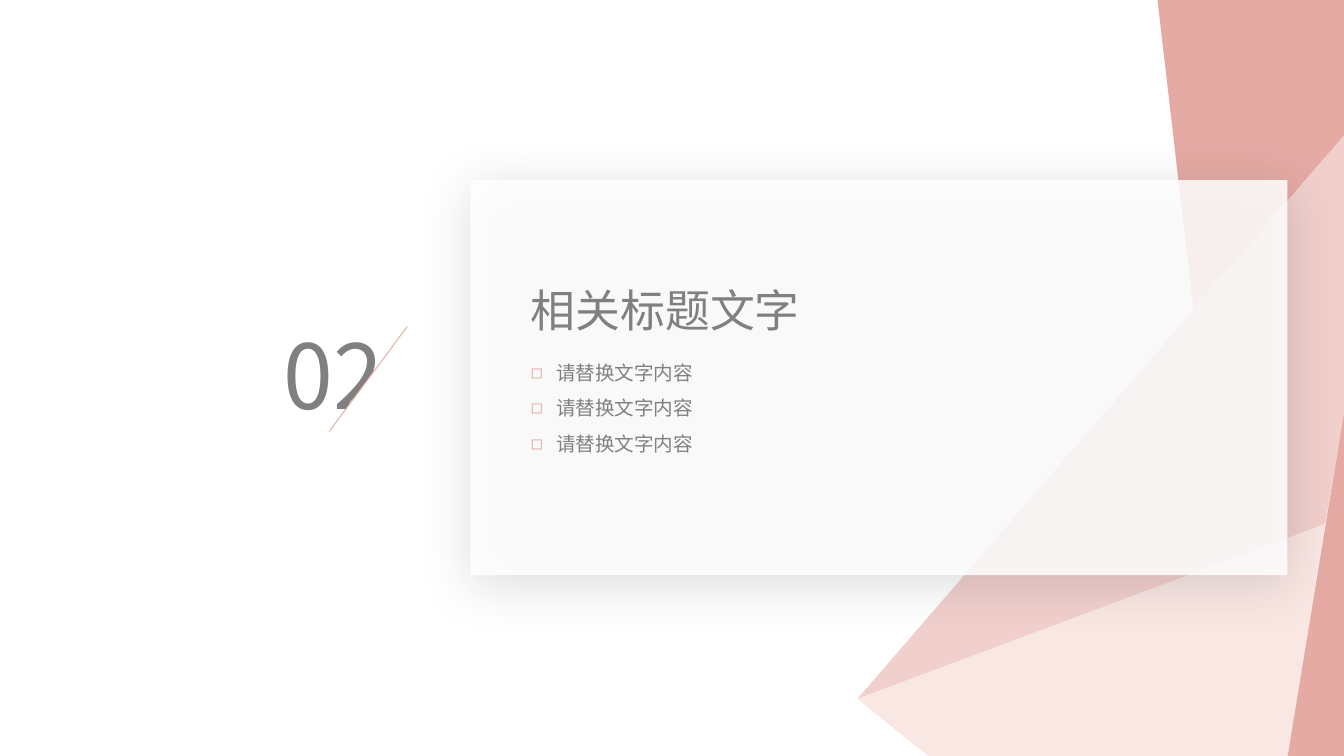
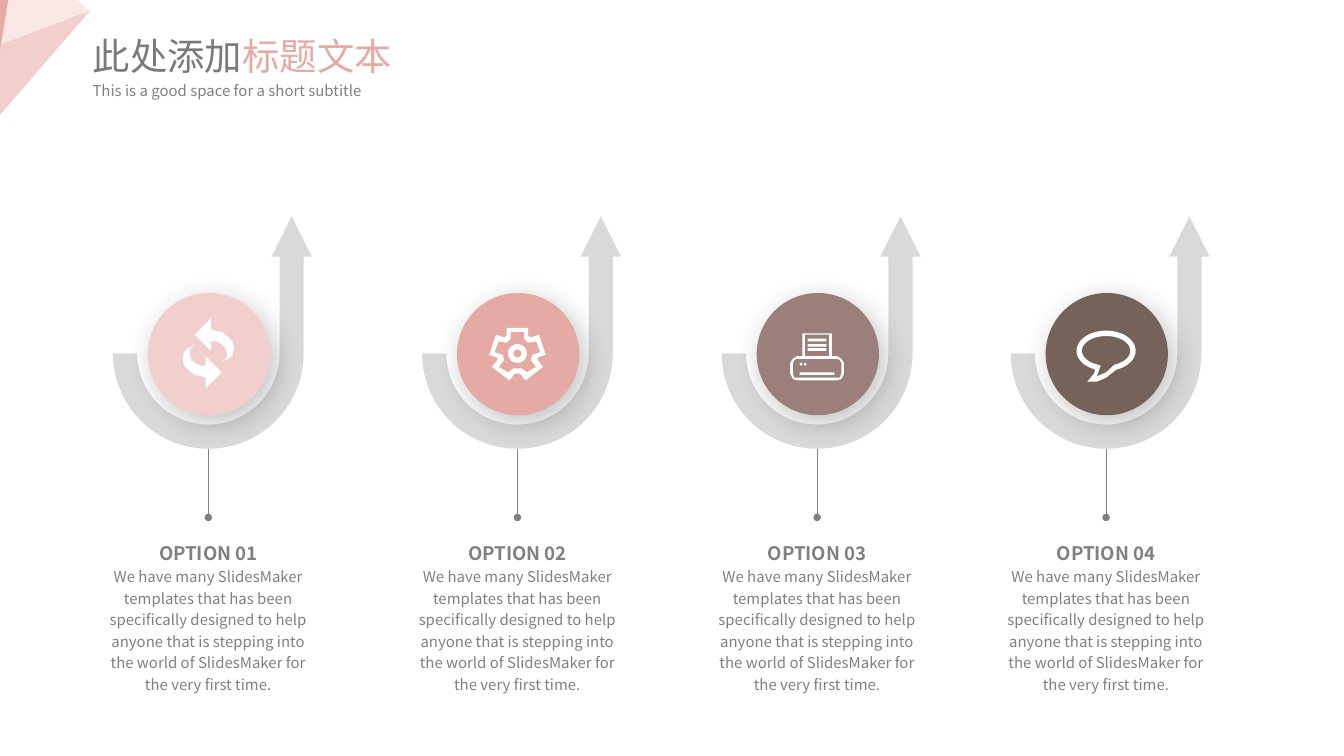
"""Build a section slide and a four-option slide that share a faceted pink theme."""
from math import cos, radians, sin

from lxml.etree import SubElement
from pptx import Presentation
from pptx.dml.color import RGBColor
from pptx.enum.shapes import MSO_CONNECTOR as Connector, MSO_SHAPE as Preset
from pptx.enum.text import MSO_ANCHOR as Anchor, MSO_AUTO_SIZE as AutoSize, PP_ALIGN as Align
from pptx.oxml.ns import qn
from pptx.util import Inches, Pt

FONT = "Noto Sans CJK SC"
WHITE = RGBColor(0xFF, 0xFF, 0xFF)
GRAY = RGBColor(0x80, 0x80, 0x80)
TITLE_GRAY = RGBColor(0x7A, 0x7A, 0x7A)
ARROW_GRAY = RGBColor(0xD9, 0xD9, 0xD9)
ROSE = RGBColor(0xE5, 0xAA, 0xA4)
BLUSH = RGBColor(0xF1, 0xCF, 0xCD)
CREAM = RGBColor(0xF9, 0xE7, 0xE3)
MAUVE = RGBColor(0x9B, 0x7F, 0x7B)
BROWN = RGBColor(0x75, 0x63, 0x59)


def write(holder, box, paragraphs, align=Align.LEFT, spacing=None, wrap=True, inset=True, bullet=None):
    """Place a text holder and fill it with paragraphs of (text, size, color, bold) runs."""
    holder.left, holder.top, holder.width, holder.height = map(Inches, box)
    frame = holder.text_frame
    frame.word_wrap = wrap
    frame.auto_size = AutoSize.NONE
    frame.vertical_anchor = Anchor.TOP
    if not inset:
        frame.margin_left = frame.margin_right = frame.margin_top = frame.margin_bottom = 0
    for index, runs in enumerate(paragraphs):
        paragraph = frame.add_paragraph() if index else frame.paragraphs[0]
        paragraph.alignment = align
        paragraph.space_before = Pt(0)
        if spacing:
            paragraph.line_spacing = spacing
        if bullet:
            properties = paragraph._p.get_or_add_pPr()
            properties.set("marL", str(Inches(0.19)))
            properties.set("indent", str(-Inches(0.19)))
            tint = SubElement(properties, qn("a:buClr"))
            SubElement(tint, qn("a:srgbClr"), val=str(ROSE))
            SubElement(properties, qn("a:buChar"), char=bullet)
        for text, size, color, bold in runs:
            run = paragraph.add_run()
            run.text = text
            run.font.size = Pt(size)
            run.font.bold = bold
            run.font.color.rgb = color
            run.font.name = FONT
            SubElement(run._r.get_or_add_rPr(), qn("a:ea"), typeface=FONT)


def draw(slide, color, contours=None, preset=None, box=None, alpha=None, shadow=None):
    """Draw a filled shape from contours, or from a preset and its box, in inches."""
    if contours:
        outlines = [[(Inches(x), Inches(y)) for x, y in contour] for contour in contours]
        builder = slide.shapes.build_freeform(*outlines[0][0])
        for index, outline in enumerate(outlines):
            if index:
                builder.move_to(*outline[0])
            builder.add_line_segments(outline[1:], close=True)
        shape = builder.convert_to_shape()
    else:
        shape = slide.shapes.add_shape(preset, *map(Inches, box))
    shape.fill.solid()
    shape.fill.fore_color.rgb = color
    shape.line.fill.background()
    shape.shadow.inherit = False
    properties = shape._element.spPr
    if alpha:
        tint = properties.find(qn("a:solidFill")).find(qn("a:srgbClr"))
        SubElement(tint, qn("a:alpha"), val=str(alpha * 1000))
    if shadow:
        opacity, blur, distance, angle = shadow
        outer = SubElement(properties.find(qn("a:effectLst")), qn("a:outerShdw"), blurRad=str(Pt(blur)),
                           dist=str(Pt(distance)), dir=str(angle * 60000), algn="ctr", rotWithShape="0")
        tint = SubElement(outer, qn("a:srgbClr"), val="333333")
        SubElement(tint, qn("a:alpha"), val=str(opacity * 1000))
    return shape


deck = Presentation()
deck.slide_width = Inches(10)
deck.slide_height = Inches(10) * 9 // 16
section = deck.slides.add_slide(deck.slide_layouts[1])
options = deck.slides.add_slide(deck.slide_layouts[5])

apex, crease, edge = (6.38, 5.2), (9.86, 3.9), (10, 3.07)
facets = [
    (BLUSH, [apex, crease, edge, (10, 1.01)]),
    (CREAM, [apex, (6.91, 5.63), (9.58, 5.63), crease]),
    (ROSE, [(9.58, 5.63), (10, 5.63), edge]),
]
draw(section, ROSE, [[(8.88, 2.3), (8.61, -0.02), (10, -0.02), (10, 1.01)]])
for color, facet in facets:
    draw(section, color, [facet])
    draw(options, color, [[(0.67 - (x - apex[0]) * 0.19, 0.08 + (apex[1] - y) * 0.19) for x, y in facet]])

draw(section, WHITE, preset=Preset.RECTANGLE, box=(3.5, 1.34, 6.08, 2.94), alpha=85, shadow=(20, 29, 5, 77))
number = section.shapes.add_textbox(0, 0, 0, 0)
write(number, (2.01, 2.33, 0.98, 0.91), [[("02", 48, GRAY, False)]])
draw(section, WHITE, preset=Preset.RIGHT_TRIANGLE, box=(2.35, 2.53, 0.78, 0.58)).rotation = 270
slash = section.shapes.add_connector(Connector.STRAIGHT, *map(Inches, (3.03, 2.43, 2.45, 3.21)))
slash.line.color.rgb = ROSE
slash.line.width = Pt(0.5)
SubElement(slash._element.spPr, qn("a:effectLst"))

heading, points = section.placeholders
write(heading, (3.85, 2.05, 2.22, 0.5), [[("相关标题文字", 24, GRAY, False)]], wrap=False)
write(points, (3.85, 2.55, 2.5, 0.9), [[("请替换文字内容", 10.5, GRAY, False)]] * 3, spacing=1.5, bullet="◻")
for holder in (heading, points):
    section.shapes._spTree.append(holder._element)

headline = options.shapes.title
write(headline, (0.59, 0.2, 2.45, 0.44),
      [[("此处添加", 20, TITLE_GRAY, False), ("标题文本", 20, ROSE, False)]], wrap=False)
options.shapes._spTree.append(headline._element)
subtitle = options.shapes.add_textbox(0, 0, 0, 0)
write(subtitle, (0.59, 0.56, 2.31, 0.24),
      [[("This is a good space for a short subtitle", 8, GRAY, False)]], wrap=False)

half_turn = [(cos(radians(a)), sin(radians(a))) for a in range(0, 181, 5)]
full_turn = [(cos(radians(a)), sin(radians(a))) for a in range(0, 360, 10)]
bubble_turn = [(cos(radians(a)), sin(radians(a))) for a in range(70, -249, -6)]
hook = [(0.62, -1.02), (0.47, -0.72), (0.53, -0.72)]
hook += [(0.53 * x, 0.53 * y) for x, y in half_turn]
hook += [(0.71 * x, 0.71 * y) for x, y in reversed(half_turn)]
hook += [(0.71, -0.72), (0.77, -0.72)]

swirl = [(0.05, -0.17), (0.02, -0.18), (0.02, -0.26), (-0.1, -0.14), (0.02, -0.02), (0.02, -0.09), (0.06, -0.09),
         (0.1, -0.07), (0.13, -0.04), (0.14, 0.01), (0.13, 0.04), (0.1, 0.06), (0.15, 0.04), (0.18, 0.01),
         (0.19, -0.04), (0.18, -0.09), (0.14, -0.13), (0.1, -0.16)]
gear_halves = [
    [(0.08, -0.19), (0.08, -0.13), (0.1, -0.12), (0.16, -0.14), (0.21, 0.01), (0.15, 0.03), (0.15, 0.05),
     (0.19, 0.1), (0.06, 0.2), (0.02, 0.15)],
    [(0.05, -0.16), (0.05, -0.11), (0.08, -0.08), (0.14, -0.09), (0.17, -0.01), (0.11, 0.01), (0.1, 0.05),
     (0.14, 0.1), (0.07, 0.14), (0.03, 0.11)],
]
printer_halves = [
    [(0.11, -0.15), (0.11, 0.02), (0.15, 0.02), (0.18, 0.04), (0.2, 0.07), (0.2, 0.15), (0.18, 0.19), (0.15, 0.2)],
    [(0.09, -0.14), (0.09, 0.02)],
    [(0.15, 0.04), (0.17, 0.05), (0.18, 0.07), (0.18, 0.15), (0.17, 0.18), (0.15, 0.18)],
]
gear, printer = [[half + [(-x, y) for x, y in reversed(half)] for half in halves]
                 for halves in (gear_halves, printer_halves)]
gear += [[(r * x, r * y) for x, y in full_turn] for r in (0.07, 0.03)]
bubble = [
    [(0.22 * x, 0.15 * y - 0.02) for x, y in bubble_turn] + [(-0.09, 0.15), (-0.14, 0.21), (-0.07, 0.21), (0, 0.18)],
    [(0.18 * x, 0.11 * y - 0.02) for x, y in bubble_turn] + [(-0.04, 0.09), (-0.07, 0.17), (0, 0.14)],
]

steps = [
    (1.55, BLUSH, [[swirl], [[(-x, -y) for x, y in swirl]]]),
    (3.85, ROSE, [gear]),
    (6.08, MAUVE, [printer]),
    (8.23, BROWN, [bubble]),
]
blurb = ("We have many SlidesMaker templates that has been specifically designed to help anyone "
         "that is stepping into the world of SlidesMaker for the very first time.")
middle = 2.63
for order, (center, color, icon) in enumerate(steps, 1):
    stem = options.shapes.add_connector(Connector.STRAIGHT, *map(Inches, (center, 3.33, center, 3.85)))
    stem.line.color.rgb = GRAY
    stem.line.width = Pt(0.5)
    SubElement(stem.line._get_or_add_ln(), qn("a:tailEnd"), type="oval", w="sm", len="sm")
    SubElement(stem._element.spPr, qn("a:effectLst"))
    draw(options, ARROW_GRAY, [[(center + x, middle + y) for x, y in hook]])
    draw(options, color, preset=Preset.OVAL, box=(center - 0.45, 2.18, 0.91, 0.91), shadow=(30, 15, 5, 55))
    for part in icon:
        draw(options, WHITE, [[(center + x, middle + y) for x, y in contour] for contour in part])
    caption = options.shapes.add_textbox(0, 0, 0, 0)
    write(caption, (center - 0.78, 4, 1.56, 1.17),
          [[(f"OPTION {order:02}", 10, GRAY, True)], [(blurb, 8, GRAY, False)]],
          align=Align.CENTER, spacing=1.2, inset=False)

printer_center = steps[2][0]
for preset, x, y, width in [
    (Preset.RECTANGLE, -0.13, 0.14, 0.26),
    (Preset.RECTANGLE, -0.07, -0.11, 0.14),
    (Preset.RECTANGLE, -0.07, -0.07, 0.14),
    (Preset.RECTANGLE, -0.07, -0.04, 0.14),
    (Preset.OVAL, -0.13, 0.07, 0.02),
    (Preset.OVAL, -0.1, 0.07, 0.02),
]:
    draw(options, WHITE, preset=preset, box=(printer_center + x, middle + y, width, 0.02))

deck.save("out.pptx")
